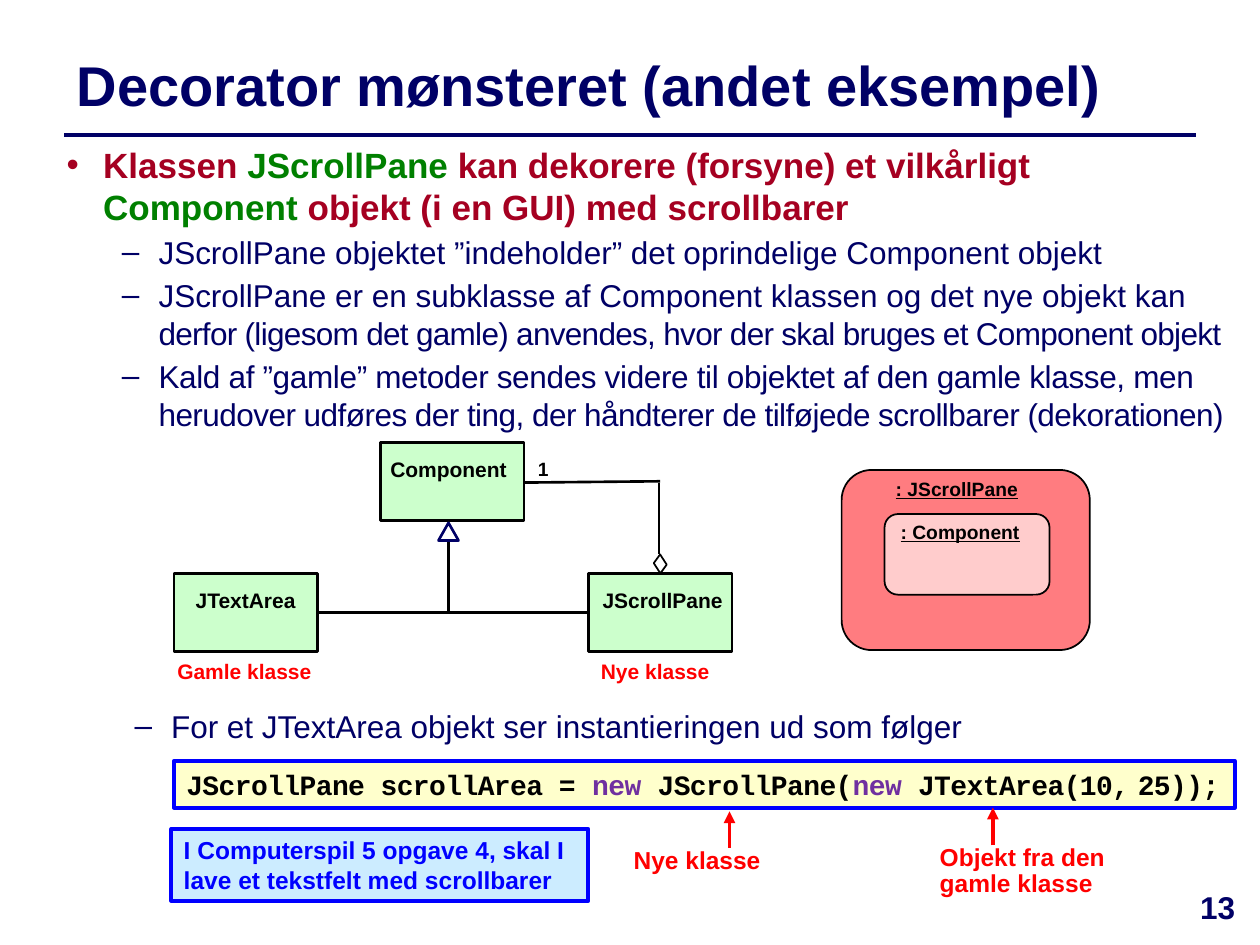
from lxml import etree
from pptx import Presentation
from pptx import util as u
from pptx.dml.color import RGBColor
from pptx.enum import shapes, text
from pptx.oxml.ns import qn

NAVY, CRIMSON, GREEN, PURPLE = "000066", "A50021", "008000", "7030A0"
BLACK, WHITE, RED, BLUE = "000000", "FFFFFF", "FF0000", "0000FF"
MINT = "CCFFCC"
SHAPE = shapes.MSO_SHAPE
CENTER = text.PP_ALIGN.CENTER


def color(value):
    return RGBColor.from_string(value)


def place(*lengths):
    return [u.Inches(length) for length in lengths]


def add_span(para, wording, size, ink, bold=True, font="Arial", spacing=0, underline=False):
    span = para.add_run()
    span.text = wording
    span.font.size = u.Pt(size)
    span.font.name = font
    span.font.bold = bold
    span.font.color.rgb = color(ink)
    if underline:
        span.font.underline = True
    if spacing:
        span.font._element.set("spc", str(round(spacing * 100)))


def add_box(page, *area):
    box = page.shapes.add_textbox(*place(*area))
    box.text_frame.word_wrap = True
    return box.text_frame


def add_label(page, wording, area, size=12, ink=BLACK, align=CENTER, underline=False):
    frame = add_box(page, *area)
    frame.word_wrap = align != CENTER
    para = frame.paragraphs[0]
    para.alignment = align
    para.line_spacing = 0.9
    add_span(para, wording, size, ink, underline=underline)


def add_bullet(para, mark, indent):
    props = para._p.get_or_add_pPr()
    props.set("marL", str(u.Inches(indent)))
    props.set("indent", str(u.Inches(-0.29)))
    etree.SubElement(props, qn("a:buFont")).set("typeface", "Arial")
    etree.SubElement(props, qn("a:buChar")).set("char", mark)


def add_dash(para, spans, first=False):
    """Second-level point; spans are (wording, letter spacing) pairs."""
    add_bullet(para, "–", 0.73)
    if not first:
        para.space_before = u.Pt(3)
    for wording, spacing in spans:
        add_span(para, wording, 18, NAVY, bold=False, spacing=spacing)


def add_figure(page, kind, area, fill, line, width):
    figure = page.shapes.add_shape(kind, *place(*area))
    figure.shadow.inherit = False
    figure.fill.solid()
    figure.fill.fore_color.rgb = color(fill)
    figure.line.color.rgb = color(line)
    figure.line.width = u.Pt(width)
    return figure


def add_panel(page, area, fill):
    """Blue-framed panel; returns its first paragraph."""
    frame = add_figure(page, SHAPE.RECTANGLE, area, fill, BLUE, 2.25).text_frame
    frame.word_wrap = True
    frame.vertical_anchor = text.MSO_ANCHOR.TOP
    para = frame.paragraphs[0]
    para.alignment = text.PP_ALIGN.LEFT
    return para


def add_line(page, ends, ink=BLACK, width=1.5, arrow=False):
    line = page.shapes.add_connector(shapes.MSO_CONNECTOR.STRAIGHT, *place(*ends))
    line.line.color.rgb = color(ink)
    line.line.width = u.Pt(width)
    if arrow:
        etree.SubElement(line.line._get_or_add_ln(), qn("a:tailEnd")).set("type", "triangle")
    etree.SubElement(line._element.spPr, qn("a:effectLst"))


def add_heading(page):
    add_line(page, (0.51, 1.07, 9.49, 1.07), NAVY, 2)
    frame = add_box(page, 0.51, 0.29, 8.82, 0.75)
    frame.vertical_anchor = text.MSO_ANCHOR.MIDDLE
    add_span(frame.paragraphs[0], "Decorator mønsteret (andet eksempel)", 32, NAVY)


def add_points(page):
    frame = add_box(page, 0.43, 1.09, 9.45, 2.4)
    para = frame.paragraphs[0]
    add_bullet(para, "•", 0.29)
    for wording, ink in [
        ("Klassen ", CRIMSON), ("JScrollPane", GREEN),
        (" kan dekorere (forsyne) et vilkårligt ", CRIMSON),
        ("Component", GREEN), (" objekt (i en GUI) med scrollbarer", CRIMSON),
    ]:
        add_span(para, wording, 20, ink)
    for spans in [
        [("JScrollPane objektet ”indeholder” det oprindelige Component objekt", 0)],
        [("JScrollPane er en subklasse af Component klassen og det nye objekt kan ", 0),
         ("derfor (ligesom det gamle) anvendes, hvor der skal bruges et Component objekt", -0.4)],
        [("Kald af ”gamle” metoder sendes videre til objektet af den gamle klasse, men ", -0.2),
         ("herudover udføres der ting, der håndterer de tilføjede scrollbarer (dekorationen)", -0.3)],
    ]:
        add_dash(frame.add_paragraph(), spans)


def add_class_diagram(page):
    # Classes with their names
    for name, left, top, label_left, label_width in [
        ("Component", 3.02, 3.51, 2.99, 1.14),
        ("JTextArea", 1.38, 4.55, 1.38, 1.14),
        ("JScrollPane", 4.67, 4.55, 4.63, 1.26),
    ]:
        add_figure(page, SHAPE.RECTANGLE, (left, top, 1.14, 0.62), MINT, BLACK, 1.5)
        add_label(page, name, (label_left, top + 0.09, label_width, 0.27))
    # Inheritance and aggregation
    for ends in [(4.67, 4.86, 2.52, 4.86), (3.56, 4.26, 3.56, 4.85),
                 (4.16, 3.83, 5.24, 3.82), (5.23, 3.83, 5.23, 4.4)]:
        add_line(page, ends)
    add_figure(page, SHAPE.ISOSCELES_TRIANGLE, (3.48, 4.15, 0.16, 0.14), WHITE, NAVY, 1.5)
    diamond = add_figure(page, SHAPE.PARALLELOGRAM, (5.18, 4.43, 0.12, 0.09), WHITE, BLACK, 1)
    diamond.adjustments[0] = 0.38
    diamond.rotation = 306.2
    add_label(page, "1", (4.17, 3.6, 0.22, 0.24), 11)
    for caption, left in [("Gamle klasse", 1.1), ("Nye klasse", 4.36)]:
        add_label(page, caption, (left, 5.2, 1.68, 0.28), ink=RED)


def add_object_diagram(page):
    for name, area, fill, label_area in [
        (": JScrollPane", (6.68, 3.73, 1.97, 1.43), "FF7C80", (6.83, 3.76, 1.53, 0.27)),
        (": Component", (7.02, 4.08, 1.31, 0.64), "FFCCCC", (7.02, 4.1, 1.2, 0.27)),
    ]:
        add_figure(page, SHAPE.ROUNDED_RECTANGLE, area, fill, BLACK, 1)
        add_label(page, name, label_area, 11, underline=True)


def add_code_example(page):
    intro = add_box(page, 0.53, 5.56, 7.54, 0.44).paragraphs[0]
    add_dash(intro, [("For et JTextArea objekt ser instantieringen ud som følger", 0)], first=True)
    code = add_panel(page, (1.38, 6.04, 8.42, 0.37), "FFFFCC")
    for wording, ink, size in [
        ("JScrollPane scrollArea = ", BLACK, 16), ("new ", PURPLE, 16),
        ("JScrollPane(", BLACK, 16), ("new ", PURPLE, 16),
        ("JTextArea(10,", BLACK, 16), (" ", BLACK, 8), ("25));", BLACK, 16),
    ]:
        add_span(code, wording, size, ink, font="Courier New", spacing=-0.3)
    # Arrows with explanations
    for wording, area, ends in [
        ("Nye klasse", (4.93, 6.68, 1.49, 0.31), (5.79, 6.73, 5.79, 6.44)),
        ("Objekt fra den gamle klasse", (7.36, 6.66, 1.52, 0.53), (7.88, 6.71, 7.88, 6.41)),
    ]:
        add_label(page, wording, area, 14, RED, text.PP_ALIGN.LEFT)
        add_line(page, ends, RED, 2.25, arrow=True)
    # Exercise note
    note = add_panel(page, (1.36, 6.58, 3.31, 0.57), "CCECFF")
    add_span(note, "I Computerspil 5 opgave 4, skal I lave et tekstfelt med scrollbarer", 14, BLUE)


def add_page_number(page):
    para = add_box(page, 9.33, 7, 0.67, 0.5).paragraphs[0]
    para.alignment = CENTER
    add_span(para, "13", 18, NAVY)


def main():
    deck = Presentation()
    deck.slide_width, deck.slide_height = place(10, 7.5)
    page = deck.slides.add_slide(deck.slide_layouts[6])
    add_heading(page)
    add_points(page)
    add_class_diagram(page)
    add_object_diagram(page)
    add_code_example(page)
    add_page_number(page)
    deck.save("out.pptx")


if __name__ == "__main__":
    main()
